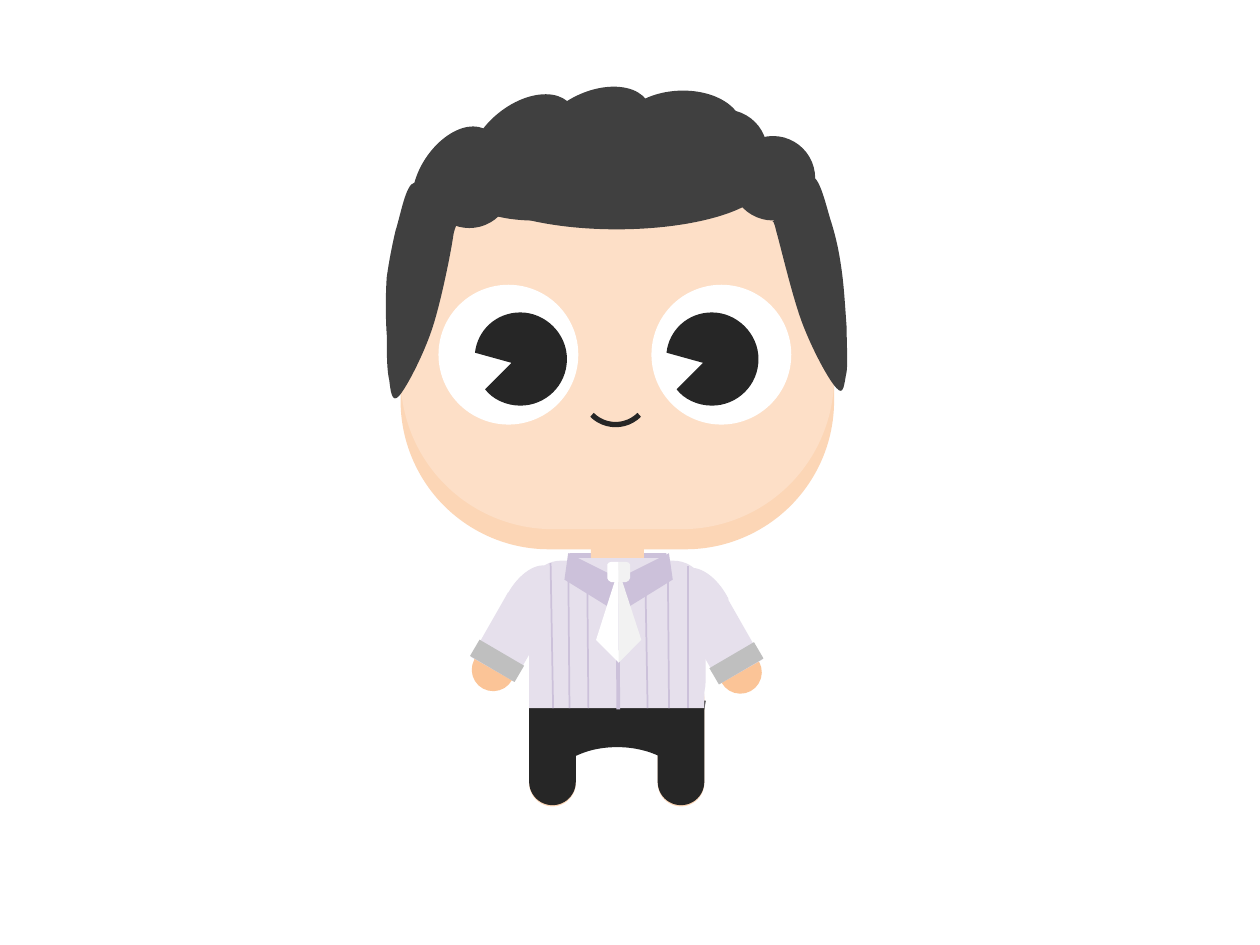
from dataclasses import dataclass
from math import cos, radians, sin

from lxml import etree
from pptx import Presentation
from pptx.dml.color import RGBColor
from pptx.enum.shapes import MSO_CONNECTOR as Link, MSO_SHAPE as Kind
from pptx.oxml.ns import qn
from pptx.util import Inches, Pt

INK, HAIR, WHITE, GREY = "262626", "404040", "FFFFFF", "F2F2F2"
SKIN, FACE, HAND = "FCD6B6", "FDDFC7", "FBC497"
SHIRT, TRIM, CUFF = "E6E0EC", "CCC1DA", "BFBFBF"

BOX, ROUND, OVAL, TRI = (Kind.RECTANGLE, Kind.ROUNDED_RECTANGLE, Kind.OVAL,
                         Kind.ISOSCELES_TRIANGLE)


@dataclass
class Part:
    kind: Kind
    x: float
    y: float
    w: float
    h: float
    color: str
    adj: float | None = None
    turn: float = 0
    flip: str = ""


@dataclass
class Stripe:
    x: float
    y: float
    foot: float


def paint(fmt, color: str) -> None:
    fmt.solid()
    fmt.fore_color.rgb = RGBColor.from_string(color)


def finish(shape, color: str, turn: float) -> None:
    shape.shadow.inherit = False
    paint(shape.fill, color)
    shape.line.fill.background()
    shape.rotation = turn


def draw(group, *parts: Part) -> None:
    for p in parts:
        shape = group.shapes.add_shape(p.kind, Inches(p.x), Inches(p.y), Inches(p.w), Inches(p.h))
        finish(shape, p.color, p.turn)
        if p.adj is not None:
            shape.adjustments[0] = p.adj
        for axis in p.flip:
            shape.element.spPr.find(qn("a:xfrm")).set(f"flip{axis}", "1")


def spin(x: float, y: float, turn: float) -> tuple[float, float]:
    """Turn a point clockwise about the slide's corner."""
    a = radians(turn)
    return x * cos(a) - y * sin(a), x * sin(a) + y * cos(a)


def curve(shape, segs: list) -> None:
    """Swap straight segments for cubic curves where controls are given."""
    lines = list(shape.element.iter(qn("a:lnTo")))
    for line, seg in zip(lines, segs):
        if len(seg) == 3:
            bez = etree.Element(qn("a:cubicBezTo"))
            for x, y in seg:
                etree.SubElement(bez, qn("a:pt"), x=str(x - shape.left), y=str(y - shape.top))
            line.getparent().replace(line, bez)


def outline(group, path: list, color: str, dx: float = 0, dy: float = 0,
            mirror: float | None = None, turn: float = 0) -> None:
    """Draw a closed path, moved by dx and dy or mirrored at x = mirror."""
    if mirror is not None:
        turn = (360 - turn) % 360

    def place(x, y):
        x = x + dx if mirror is None else 2 * mirror - x
        x, y = spin(x, y + dy, -turn)
        return Inches(x), Inches(y)

    segs = [[place(*seg[i:i + 2]) for i in range(0, len(seg), 2)] for seg in path]
    pen = group.shapes.build_freeform(*segs[0][0])
    pen.add_line_segments([seg[-1] for seg in segs[1:]], close=True)
    shape = pen.convert_to_shape()
    curve(shape, segs[1:])
    finish(shape, color, turn)
    if turn:
        x, y = spin(shape.left + shape.width / 2, shape.top + shape.height / 2, turn)
        shape.left, shape.top = int(x - shape.width / 2), int(y - shape.height / 2)


def rule(group, *stripes: Stripe) -> None:
    for s in stripes:
        line = group.shapes.add_connector(Link.STRAIGHT, Inches(s.x), Inches(s.y),
                                          Inches(s.foot), Inches(5.62))
        paint(line.line.fill, TRIM)
        line.line.width = Pt(1)
        etree.SubElement(line.element.spPr, qn("a:effectLst"))


def smile(group) -> None:
    arc = group.shapes.add_shape(Kind.ARC, Inches(4.62), Inches(2.84), Inches(0.53), Inches(0.53))
    arc.shadow.inherit = False
    arc.fill.background()
    paint(arc.line.fill, INK)
    arc.line.width = Pt(3)
    arc.rotation = 135


def arm(group, right: bool) -> None:
    mid, dy = 4.9, 0.02 if right else 0

    def limb(kind, x, y, w, h, color, turn, adj=None):
        if right:
            x, turn = 2 * mid - x - w - 0.01, 360 - turn
        draw(group, Part(kind, x, y + dy, w, h, color, adj, turn))

    limb(ROUND, 3.88, 4.61, 0.34, 0.91, HAND, 208.5, 0.5)
    outline(group, SLEEVE, SHIRT, dy=dy, mirror=mid if right else None, turn=208.5)
    limb(BOX, 3.86, 4.76, 0.39, 0.59, SHIRT, 29.7)
    limb(BOX, 3.74, 5.17, 0.41, 0.15, CUFF, 30.3)


PUPIL = [(4.13, 2.48), (4.33, 2.48, 4.5, 2.65, 4.5, 2.85), (4.5, 3.06, 4.33, 3.22, 4.13, 3.22),
         (4.02, 3.22, 3.91, 3.17, 3.85, 3.09), (4.06, 2.88), (3.77, 2.8),
         (3.79, 2.62, 3.94, 2.48, 4.13, 2.48)]
HIPS = [(4.2, 5.56), (5.6, 5.56), (5.6, 5.57), (5.58, 5.73, 5.49, 5.87, 5.37, 5.98), (5.29, 6.04),
        (5.27, 6.02), (5.16, 5.96, 5.03, 5.93, 4.9, 5.93), (4.76, 5.93, 4.64, 5.96, 4.53, 6.02),
        (4.51, 6.04), (4.43, 5.98), (4.3, 5.87, 4.22, 5.73, 4.2, 5.57)]
LEFT_LOCK = [(3.14, 1.83), (3.11, 1.96, 3.09, 2.06, 3.07, 2.2), (3.06, 2.34, 3.06, 2.53, 3.07, 2.66),
             (3.07, 2.8, 3.07, 2.94, 3.09, 3.02), (3.1, 3.1, 3.11, 3.21, 3.17, 3.14),
             (3.23, 3.07, 3.36, 2.82, 3.43, 2.61), (3.5, 2.4, 3.58, 2, 3.6, 1.86),
             (3.63, 1.72, 3.65, 1.83, 3.6, 1.76), (3.55, 1.69, 3.36, 1.44, 3.29, 1.45),
             (3.22, 1.46, 3.18, 1.71, 3.14, 1.83)]
RIGHT_LOCK = [(6.6, 1.77), (6.64, 1.9, 6.66, 2, 6.68, 2.14), (6.7, 2.28, 6.71, 2.46, 6.72, 2.6),
              (6.72, 2.73, 6.73, 2.87, 6.72, 2.95), (6.7, 3.04, 6.7, 3.15, 6.64, 3.08),
              (6.58, 3.02, 6.45, 2.78, 6.37, 2.57), (6.29, 2.36, 6.2, 1.97, 6.16, 1.83),
              (6.13, 1.69, 6.11, 1.8, 6.16, 1.73), (6.21, 1.66, 6.37, 1.4, 6.44, 1.4),
              (6.51, 1.4, 6.56, 1.65, 6.6, 1.77)]
SLEEVE = [(4.36, 4.92), (4.02, 4.74), (4.02, 4.73), (4.11, 4.55, 4.27, 4.45, 4.36, 4.5),
          (4.46, 4.56, 4.46, 4.74, 4.36, 4.92)]
COLLAR = [(4.51, 4.39), (4.91, 4.59), (4.82, 4.81), (4.48, 4.6), (4.51, 4.39)]
KNOT = [(4.85, 4.46), (4.91, 4.46), (4.91, 4.62), (4.85, 4.62), (4.84, 4.62, 4.82, 4.6, 4.82, 4.59),
        (4.82, 4.48), (4.82, 4.47, 4.84, 4.46, 4.85, 4.46)]
CURLS = [(3.39, 1.14), (4.92, 0.82), (3.88, 0.91), (4.34, 0.86), (5.42, 0.87), (5.8, 1.08)]


def body(group) -> None:
    draw(group, Part(BOX, 4.52, 4.39, 0.77, 0.18, TRIM),
         Part(ROUND, 4.69, 3.91, 0.42, 0.67, SKIN, 0.083))
    for color, y, h in ((SKIN, 5.35, 1.05), (INK, 5.4, 0.99)):
        for x in (5.22, 4.2):
            draw(group, Part(ROUND, x, y, 0.37, h, color, 0.5))
    draw(group, Part(ROUND, 4.2, 4.45, 1.4, 1.22, SHIRT, 0.208))


def head(group) -> None:
    draw(group, Part(ROUND, 3.18, 1.36, 3.44, 3, SKIN, 0.393),
         Part(ROUND, 3.18, 1.13, 3.44, 3.07, FACE, 0.393))
    for x, dx in ((3.48, 0), (5.17, 1.52)):
        draw(group, Part(OVAL, x, 2.26, 1.11, 1.11, WHITE))
        outline(group, PUPIL, INK, dx=dx)
    smile(group)


def hair(group) -> None:
    draw(group, Part(OVAL, 4.22, 0.73, 0.98, 0.62, HAIR, turn=334),
         Part(OVAL, 3.66, 0.83, 0.98, 0.62, HAIR, turn=320.9))
    outline(group, LEFT_LOCK, HAIR, turn=356.8)
    outline(group, RIGHT_LOCK, HAIR)
    draw(group, *(Part(OVAL, x, y, 0.67, 0.67, HAIR) for x, y in CURLS),
         Part(OVAL, 4.91, 0.72, 0.98, 0.62, HAIR, turn=357.4),
         Part(OVAL, 3.16, 1.13, 0.91, 0.57, HAIR, turn=303.2),
         Part(OVAL, 3.51, 0.97, 1.45, 0.78, HAIR, flip="H"),
         Part(OVAL, 3.7, 1.04, 2.39, 0.78, HAIR, flip="H"))


def shirt(group) -> None:
    rule(group, Stripe(4.66, 4.45, 4.67), Stripe(5.12, 4.47, 5.14))
    arm(group, right=False)
    arm(group, right=True)
    draw(group, Part(TRI, 4.54, 4.43, 0.73, 0.34, SHIRT, flip="V"))
    for mid in (None, 4.91):
        outline(group, COLLAR, TRIM, mirror=mid)
    draw(group, Part(BOX, 4.89, 4.54, 0.03, 1.09, TRIM, turn=359.8),
         Part(TRI, 4.45, 4.8, 0.74, 0.18, WHITE, 0.755, 89.8, "V"),
         Part(TRI, 4.63, 4.8, 0.74, 0.18, GREY, 0.755, 269.8, "HV"))
    for mid, color in ((None, WHITE), (4.91, GREY)):
        outline(group, KNOT, color, mirror=mid)
    rule(group, Stripe(4.37, 4.47, 4.39), Stripe(4.51, 4.45, 4.52),
         Stripe(5.3, 4.48, 5.31), Stripe(5.46, 4.49, 5.46))


def main() -> None:
    deck = Presentation()
    deck.slide_width, deck.slide_height = Inches(10), Inches(7.5)
    slide = deck.slides.add_slide(deck.slide_layouts[6])
    figure = slide.shapes.add_group_shape()
    body(figure)
    head(figure)
    outline(figure, HIPS, INK)
    draw(figure, Part(BOX, 4.2, 5.39, 1.39, 0.23, SHIRT))
    hair(figure)
    shirt(figure)
    deck.save("out.pptx")


if __name__ == "__main__":
    main()
